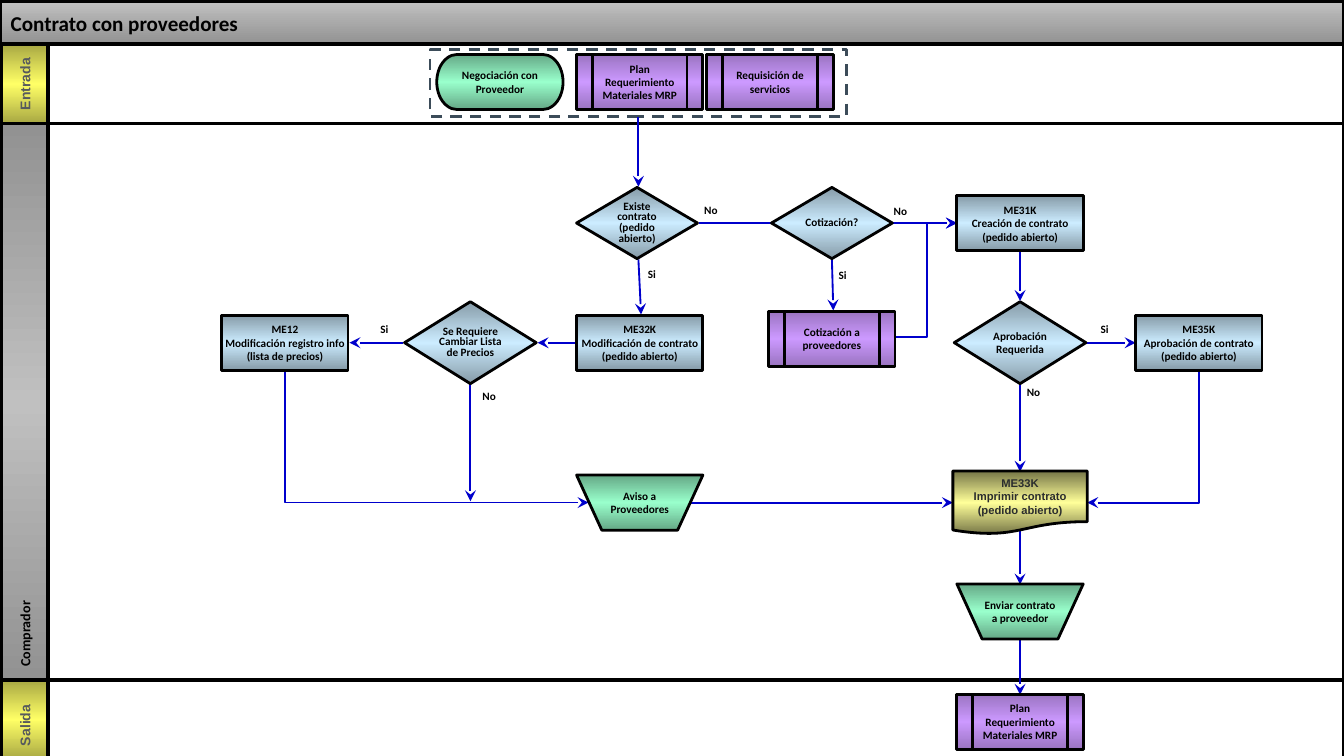
from copy import deepcopy

from lxml.etree import SubElement
from pptx import Presentation
from pptx.dml.color import RGBColor
from pptx.enum.dml import MSO_LINE
from pptx.enum.shapes import MSO_CONNECTOR, MSO_SHAPE
from pptx.enum.text import MSO_ANCHOR, MSO_AUTO_SIZE, PP_ALIGN
from pptx.oxml.ns import qn
from pptx.util import Inches, Pt

COLORS = {
    "black": "000000", "white": "FFFFFF", "page": "F2F2F2",
    "link": "0000CC", "dash": "3C4C59", "lane": "575A5D", "print": "2B2D2E",
}
# Gradient stops, top to bottom
GRADIENTS = {
    "title": ["C0C0C0", "929292"],
    "gray": ["929292", "C0C0C0", "929292"],
    "yellow": ["A8A843", "FFFF66", "A8A843"],
    "green": ["65A886", "99FFCC", "65A886"],
    "blue": ["869BA8", "CCECFF", "869BA8"],
    "purple": ["9A74C1", "CC99FF", "9A74C1"],
    "olive": ["767647", "FFFF99", "767647"],
}
# Kind of step: shape, gradient, width, height, margin, line spacing
KINDS = {
    "start": (MSO_SHAPE.FLOWCHART_TERMINATOR, "green", 0.94, 0.41, 0.01, 1),
    "task": (MSO_SHAPE.RECTANGLE, "blue", 0.94, 0.41, 0.01, 1),
    "process": (MSO_SHAPE.FLOWCHART_PREDEFINED_PROCESS, "purple", 0.94, 0.41, 0.03, 1),
    "manual": (MSO_SHAPE.FLOWCHART_MANUAL_OPERATION, "green", 0.94, 0.41, 0.01, 1),
    "document": (MSO_SHAPE.FLOWCHART_DOCUMENT, "olive", 1, 0.47, 0.02, 1),
    "question": (MSO_SHAPE.DIAMOND, "blue", 0.9, 0.53, 0, 0.8),
    "choice": (MSO_SHAPE.DIAMOND, "blue", 0.98, 0.61, 0, 0.8),
    "approval": (MSO_SHAPE.DIAMOND, "blue", 0.98, 0.61, 0, 1),
}


def rgb(name):
    return RGBColor.from_string(COLORS[name])


def set_gradient(sp, name):
    colors = GRADIENTS[name]
    sp.fill.gradient()
    sp.fill.gradient_angle = 270
    stops = sp._element.spPr.find(".//" + qn("a:gsLst"))
    if len(colors) == 3:
        stops.insert(1, deepcopy(stops[0]))
    for i, (stop, color) in enumerate(zip(sp.fill.gradient_stops, colors)):
        stop.position = i / (len(colors) - 1)
        stop.color.rgb = RGBColor.from_string(color)


def add_box(s, shape, x, y, w, h, gradient=None, line=2, color="black"):
    sp = s.shapes.add_shape(shape, Inches(x), Inches(y), Inches(w), Inches(h))
    sp.shadow.inherit = False
    sp.line.color.rgb = rgb(color)
    sp.line.width = Pt(line)
    if gradient:
        set_gradient(sp, gradient)
    return sp


def write(tf, lines, size, align=PP_ALIGN.CENTER, font="Calibri", color="black",
          margin=None, spacing=1):
    tf.text = "\n".join(lines)
    tf.vertical_anchor = MSO_ANCHOR.MIDDLE
    if margin is not None:
        tf.margin_left = tf.margin_right = Inches(margin)
        tf.margin_top = tf.margin_bottom = Inches(min(margin, 0.02))
    for p in tf.paragraphs:
        p.alignment, p.line_spacing = align, spacing
        p.font.name, p.font.size, p.font.bold = font, Pt(size), True
        p.font.color.rgb = rgb(color)


def add_step(s, kind, cx, cy, *lines):
    """A flowchart step centred on (cx, cy)."""
    shape, gradient, w, h, margin, spacing = KINDS[kind]
    sp = add_box(s, shape, cx - w / 2, cy - h / 2, w, h, gradient, 1.5)
    sp.text_frame.word_wrap = True
    font, color = ("Arial", "print") if kind == "document" else ("Calibri", "black")
    write(sp.text_frame, lines, 6, font=font, color=color, margin=margin, spacing=spacing)


def add_answer(s, x, y, text):
    tb = s.shapes.add_textbox(Inches(x), Inches(y), Inches(0.1), Inches(0.1))
    tb.text_frame.word_wrap = False
    write(tb.text_frame, [text], 6, align=PP_ALIGN.LEFT, margin=0)


def add_link(s, x1, y1, x2, y2, kind=MSO_CONNECTOR.STRAIGHT, corner=False):
    """An arrow to (x2, y2); a corner link runs down first, then across."""
    ends = (x2, y2, x1, y1) if corner else (x1, y1, x2, y2)
    c = s.shapes.add_connector(kind, *map(Inches, ends))
    c.line.color.rgb = rgb("link")
    c.line.width = Pt(1)
    spPr = c._element.spPr
    if corner:
        spPr.find(qn("a:prstGeom")).set("prst", "bentConnector2")
    SubElement(spPr.find(qn("a:ln")), qn("a:headEnd" if corner else "a:tailEnd"),
               type="stealth")
    SubElement(spPr, qn("a:effectLst"))


def draw_title(s, x, y, w, h):
    bar = add_box(s, MSO_SHAPE.RECTANGLE, x, y, w, h, "title")
    title = s.shapes.title
    title._element.addprevious(bar._element)
    title.left, title.top = Inches(x - 0.02), Inches(y)
    title.width, title.height = Inches(6.58), Inches(h)
    write(title.text_frame, ["Contrato con proveedores"], 11.25, align=PP_ALIGN.LEFT)
    title.text_frame.auto_size = MSO_AUTO_SIZE.NONE


def draw_lane(s, y, h, name, gradient, align, font, color):
    band = add_box(s, MSO_SHAPE.RECTANGLE, 0, y, 10, h)
    band.fill.solid()
    band.fill.fore_color.rgb = rgb("white")
    tab = add_box(s, MSO_SHAPE.RECTANGLE, 0.01, y, 0.35, h, gradient)
    tab.text_frame.word_wrap = False
    write(tab.text_frame, [name], 7.5, align, font, color)
    tab.text_frame._txBody.bodyPr.set("vert", "vert270")


def draw_inputs(s, x, y):
    frame = add_box(s, MSO_SHAPE.RECTANGLE, x, y, 3.1, 0.5, line=1.5, color="dash")
    frame.fill.background()
    frame.line.dash_style = MSO_LINE.DASH
    cy = y + 0.24
    add_step(s, "start", x + 0.52, cy, "Negociación con Proveedor")
    add_step(s, "process", x + 1.56, cy, "Plan Requerimiento Materiales MRP")
    add_step(s, "process", x + 2.53, cy, "Requisición de servicios")


def draw_flow(s, x, y):
    # Columns and rows of step centres
    info, prices, change, quote, main, approve = (
        x + c for c in (2.12, 3.5, 4.76, 6.19, 7.59, 8.92))
    ask, edit, notify, send = (y + r for r in (0.74, 1.63, 2.82, 3.63))

    # Arrows
    for link in [
        (change - 0.01, y - 0.05, change - 0.01, ask - 0.27),
        (change + 0.44, ask, main - 0.47, ask),
        (change - 0.01, ask + 0.27, change + 0.01, edit - 0.21),
        (quote, ask + 0.27, quote + 0.01, edit - 0.24),
        (change - 0.47, edit, prices + 0.5, edit),
        (prices - 0.5, edit, info + 0.48, edit),
        (prices, edit + 0.31, prices, notify - 0.01),
        (main, ask + 0.21, main, edit - 0.31),
        (main + 0.49, edit, approve - 0.47, edit),
        (main, edit + 0.3, main, notify - 0.23),
        (change + 0.38, notify, main - 0.5, notify),
        (main, notify + 0.21, main, send - 0.2),
        (main, send + 0.21, main, send + 0.62),
    ]:
        add_link(s, *link)
    add_link(s, quote + 0.48, edit - 0.04, main - 0.47, ask, MSO_CONNECTOR.ELBOW)
    for link in [(info, edit + 0.21, change - 0.38, notify),
                 (approve, edit + 0.2, main + 0.5, notify)]:
        add_link(s, *link, MSO_CONNECTOR.ELBOW, corner=True)

    # Steps
    for step in [
        ("question", change - 0.02, ask, "Existe contrato (pedido abierto)"),
        ("question", quote, ask, "Cotización?"),
        ("task", main, ask, "ME31K", "Creación de contrato (pedido abierto)"),
        ("task", info, edit, "ME12", "Modificación registro info (lista de precios)"),
        ("choice", prices, edit, "Se Requiere Cambiar Lista de Precios"),
        ("task", change, edit, "ME32K", "Modificación de contrato (pedido abierto)"),
        ("process", quote, edit - 0.03, "Cotización a proveedores"),
        ("approval", main, edit, "Aprobación", "Requerida"),
        ("task", approve, edit, "ME35K", "Aprobación de contrato (pedido abierto)"),
        ("manual", change, notify, "Aviso a", "Proveedores"),
        ("document", main, notify, "ME33K", "Imprimir contrato (pedido abierto)"),
        ("manual", main, send, "Enviar contrato a proveedor"),
    ]:
        add_step(s, *step)

    # Answers beside the arrows
    for dx, dy, text in [
        (5.24, 0.59, "No"), (6.65, 0.6, "No"), (4.82, 1.07, "Si"), (6.24, 1.08, "Si"),
        (2.83, 1.48, "Si"), (8.19, 1.48, "Si"), (3.59, 1.98, "No"), (7.64, 1.95, "No"),
    ]:
        add_answer(s, x + dx, y + dy, text)


def main():
    prs = Presentation()
    prs.slide_width = Inches(10)
    prs.slide_height = prs.slide_width * 9 // 16
    s = prs.slides.add_slide(prs.slide_layouts[5])
    s.background.fill.solid()
    s.background.fill.fore_color.rgb = rgb("page")

    draw_title(s, 0, 0.01, 10, 0.32)
    draw_lane(s, 5.06, 0.59, "Salida", "yellow", PP_ALIGN.LEFT, "Arial", "lane")
    draw_lane(s, 0.33, 0.59, "Entrada", "yellow", PP_ALIGN.CENTER, "Arial", "lane")
    draw_lane(s, 0.92, 4.14, "Comprador", "gray", PP_ALIGN.LEFT, "Calibri", "black")
    draw_inputs(s, 3.2, 0.37)
    draw_flow(s, 0, 0.92)
    add_step(s, "process", 7.59, 5.37, "Plan Requerimiento Materiales MRP")
    prs.save("out.pptx")


if __name__ == "__main__":
    main()
